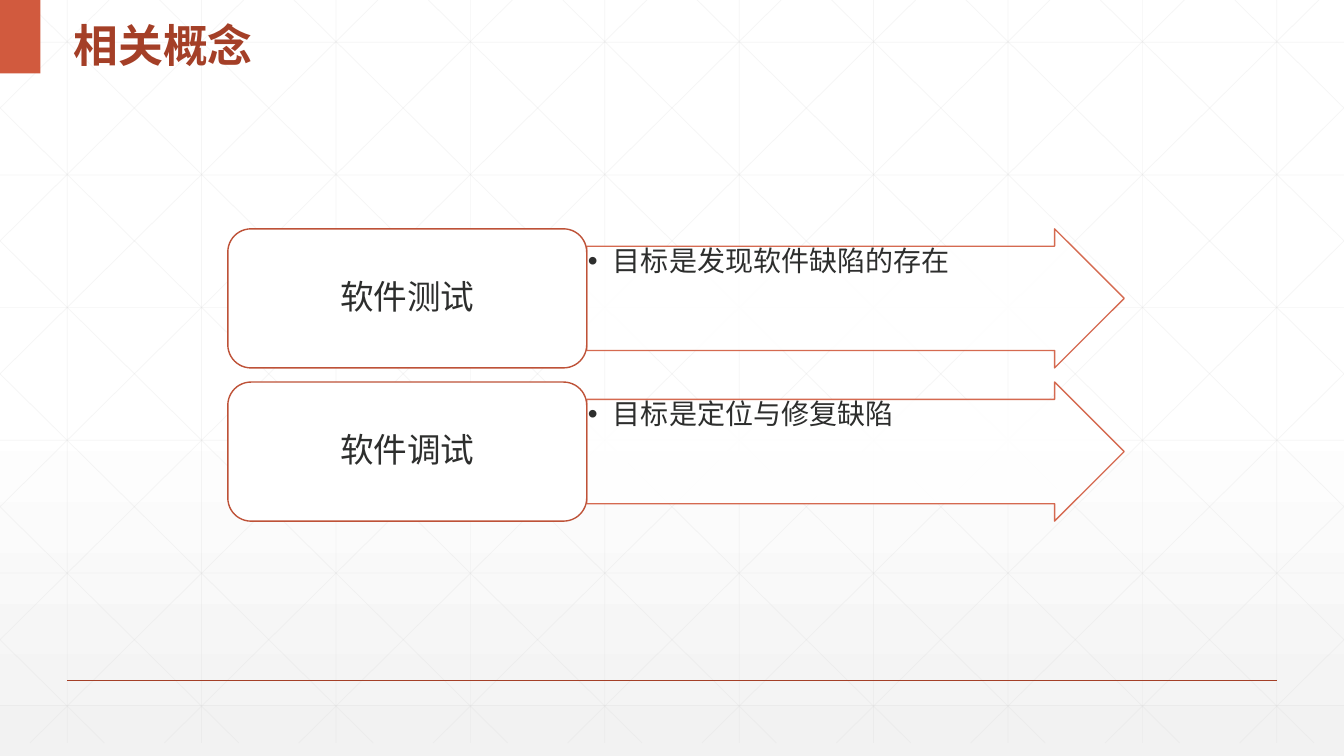
"""Build a slide that sets software testing beside software debugging."""
from lxml import etree
from pptx import Presentation, util as u
from pptx.dml.color import RGBColor
from pptx.enum import shapes, text
from pptx.oxml import ns

W, H = 13.33, 7.5
CELL = W / 10
FOOT = 7.37
RUN = 7.45
SANS = "Noto Sans CJK SC"


def paint(fmt, tone, alpha=100):
    fmt.solid()
    fmt.fore_color.rgb = RGBColor.from_string(tone)
    if alpha < 100:
        for node in fmt._xPr.iter(ns.qn("a:srgbClr")):
            etree.SubElement(node, ns.qn("a:alpha")).set("val", str(alpha * 1000))


def write(para, words, size, font, tone):
    run = para.add_run()
    run.text = words
    run.font.size = u.Pt(size)
    run.font.name = font
    paint(run.font.fill, tone)
    east = etree.SubElement(run._r.get_or_add_rPr(), ns.qn("a:ea"))
    east.set("typeface", SANS)
    return run


deck = Presentation()
deck.slide_width, deck.slide_height = u.Inches(W), u.Inches(H)
slide = deck.slides.add_slide(deck.slide_layouts[6])
items = slide.shapes

back = slide.background.fill
back.gradient()
back.gradient_angle = 270
for stop, place, tone in zip(back.gradient_stops, (0.53, 1), ("FFFFFF", "F2F2F2")):
    stop.position = place
    stop.color.rgb = RGBColor.from_string(tone)

lines = []
for col in range(10):
    x = (col + 0.5) * CELL
    lines.append((x, 0, x, FOOT))
for row in range(6):
    y = 0.42 + row * 1.316
    lines.append((0, y, W, y))
for step in range(-5, 10):
    top = 0.25 + step * CELL
    left, right = max(top, 0), min(top + RUN, W)
    y1, y2 = ((x - top) * FOOT / RUN for x in (left, right))
    lines.append((left, y1, right, y2))
    lines.append((W - left, y1, W - right, y2))
grid = [(ends, "D9D9D9", 0.5, 25) for ends in lines]
rule = ((CELL / 2, 0.9 * H, W - CELL / 2, 0.9 * H), "A43F27", 1, 100)

for ends, tone, width, alpha in grid + [rule]:
    line = items.add_connector(shapes.MSO_CONNECTOR.STRAIGHT, *map(u.Inches, ends))
    line.line.width = u.Pt(width)
    paint(line.line.fill, tone, alpha)
    etree.SubElement(line._element.spPr, ns.qn("a:effectLst"))

tab = items.add_shape(shapes.MSO_SHAPE.RECTANGLE, 0, 0, u.Inches(0.4), u.Inches(0.73))
tab.shadow.inherit = False
paint(tab.fill, "D15A3E")
tab.line.fill.background()

title = items.add_textbox(u.Inches(0.63), 0, u.Inches(5.69), u.Inches(0.73))
frame = title.text_frame
frame.word_wrap = True
frame.vertical_anchor = text.MSO_ANCHOR.MIDDLE
frame.paragraphs[0].line_spacing = 1.3
write(frame.paragraphs[0], "相关概念", 32, "Arial", "A43F27").font.bold = True

LEFT, TOP, CARD, ARROW, TALL, PITCH = 2.26, 2.27, 3.56, 5.33, 1.38, 1.52
rows = [("软件测试", "目标是发现软件缺陷的存在", "Arial"),
        ("软件调试", "目标是定位与修复缺陷", SANS)]

for row, (name, goal, font) in enumerate(rows):
    y = TOP + row * PITCH
    arrow = items.add_shape(shapes.MSO_SHAPE.RIGHT_ARROW, u.Inches(LEFT + CARD),
                            u.Inches(y), u.Inches(ARROW), u.Inches(TALL))
    arrow.adjustments[0], arrow.adjustments[1] = 0.75, 0.5
    card = items.add_shape(shapes.MSO_SHAPE.ROUNDED_RECTANGLE, u.Inches(LEFT),
                           u.Inches(y), u.Inches(CARD), u.Inches(TALL))
    for shape, edge, alpha in ((arrow, "D15A3E", 90), (card, "BE5238", 100)):
        shape.shadow.inherit = False
        paint(shape.fill, "FFFFFF", alpha)
        shape.line.width = u.Pt(1)
        paint(shape.line.fill, edge, alpha)
        frame = shape.text_frame
        frame.word_wrap = True
        frame.margin_left = frame.margin_right = u.Inches(0.01)
        frame.margin_top = frame.margin_bottom = u.Inches(0.01)
        frame.paragraphs[0].line_spacing = 0.9

    arrow.text_frame.vertical_anchor = text.MSO_ANCHOR.TOP
    para = arrow.text_frame.paragraphs[0]
    para.alignment = text.PP_ALIGN.LEFT
    para.level = 1
    props = para._p.get_or_add_pPr()
    props.set("marL", str(u.Inches(0.25)))
    props.set("indent", str(u.Inches(-0.25)))
    etree.SubElement(props, ns.qn("a:buFont")).set("typeface", "Arial")
    etree.SubElement(props, ns.qn("a:buChar")).set("char", "•")
    write(para, goal, 20, SANS, "2D2E2D")

    card.text_frame.vertical_anchor = text.MSO_ANCHOR.MIDDLE
    para = card.text_frame.paragraphs[0]
    para.alignment = text.PP_ALIGN.CENTER
    write(para, name, 24, font, "2D2E2D")

deck.save("out.pptx")
